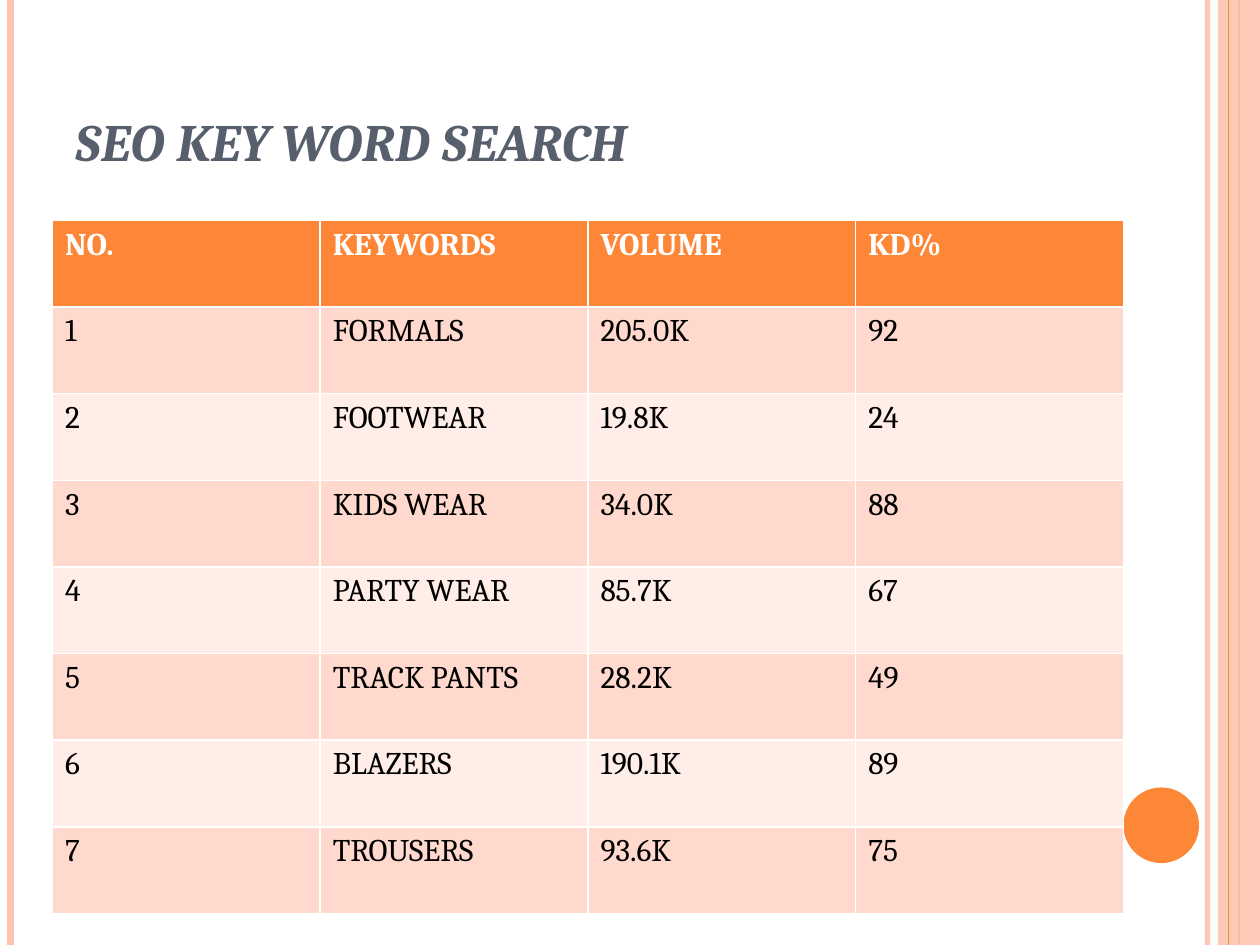
from lxml.etree import SubElement
from pptx import Presentation
from pptx.dml.color import RGBColor
from pptx.enum.shapes import MSO_CONNECTOR, MSO_SHAPE
from pptx.enum.text import MSO_ANCHOR
from pptx.oxml.ns import qn
from pptx.util import Pt

COLORS = {
    "orange": "FE8637",
    "peach": "FEC3AE",
    "band_dark": "FFD9CE",
    "band_light": "FFEDE8",
    "title": "575F6D",
    "white": "FFFFFF",
    "black": "000000",
}
FONT = "Cambria"
WIDTH, HEIGHT = 720, 540


def paint(fill, color, opacity=100):
    """Make a fill solid, with its opacity in percent."""
    fill.solid()
    fill.fore_color.rgb = RGBColor.from_string(COLORS[color])
    if opacity < 100:
        for node in fill._xPr.iter(qn("a:srgbClr")):
            SubElement(node, qn("a:alpha"), val=str(opacity * 1000))


def add_stripe(page, x, color, weight, opacity=100):
    """Draw a vertical line over the full height of the page."""
    stripe = page.shapes.add_connector(
        MSO_CONNECTOR.STRAIGHT, Pt(x), Pt(0), Pt(x), Pt(HEIGHT))
    stripe.line.width = Pt(weight)
    paint(stripe.line.fill, color, opacity)
    SubElement(stripe._element.spPr, qn("a:effectLst"))


deck = Presentation()
deck.slide_width, deck.slide_height = Pt(WIDTH), Pt(HEIGHT)
page = deck.slides.add_slide(deck.slide_layouts[6])

# Side decoration, back to front
add_stripe(page, 690, "peach", 3, 93)
add_stripe(page, 6, "peach", 4.5)
add_stripe(page, 708, "orange", 1.5)

side_band = page.shapes.add_shape(
    MSO_SHAPE.RECTANGLE, Pt(696), Pt(0), Pt(24), Pt(HEIGHT))
paint(side_band.fill, "peach", 87)

add_stripe(page, 702, "orange", 0.75)

disc = page.shapes.add_shape(
    MSO_SHAPE.OVAL, Pt(642), Pt(450), Pt(43.2), Pt(43.2))
paint(disc.fill, "orange")

for shape in (side_band, disc):
    shape.line.fill.background()
    shape.shadow.inherit = False

# Title
title_box = page.shapes.add_textbox(Pt(36), Pt(12), Pt(588), Pt(90))
title_box.text_frame.word_wrap = True
title_box.text_frame.vertical_anchor = MSO_ANCHOR.BOTTOM
para = title_box.text_frame.paragraphs[0]
para.text = "SEO KEY WORD SEARCH"
para.font.name = FONT
para.font.size = Pt(30)
para.font.bold = para.font.italic = True
para.font.color.rgb = RGBColor.from_string(COLORS["title"])

# Keyword table; its default style draws the white cell borders
rows = [
    ("NO.", "KEYWORDS", "VOLUME", "KD%"),
    ("1", "FORMALS", "205.0K", "92"),
    ("2", "FOOTWEAR", "19.8K", "24"),
    ("3", "KIDS WEAR", "34.0K", "88"),
    ("4", "PARTY WEAR", "85.7K", "67"),
    ("5", "TRACK PANTS", "28.2K", "49"),
    ("6", "BLAZERS", "190.1K", "89"),
    ("7", "TROUSERS", "93.6K", "75"),
]
table = page.shapes.add_table(
    len(rows), len(rows[0]), Pt(30), Pt(126), Pt(612), Pt(396)).table

for row_index, values in enumerate(rows):
    is_header = row_index == 0
    if is_header:
        fill_color = "orange"
    else:
        fill_color = "band_dark" if row_index % 2 else "band_light"
    text_color = "white" if is_header else "black"
    for column_index, value in enumerate(values):
        cell = table.cell(row_index, column_index)
        paint(cell.fill, fill_color)
        para = cell.text_frame.paragraphs[0]
        para.text = value
        para.font.name = FONT
        para.font.size = Pt(18)
        para.font.bold = is_header
        para.font.color.rgb = RGBColor.from_string(COLORS[text_color])

deck.save("out.pptx")
